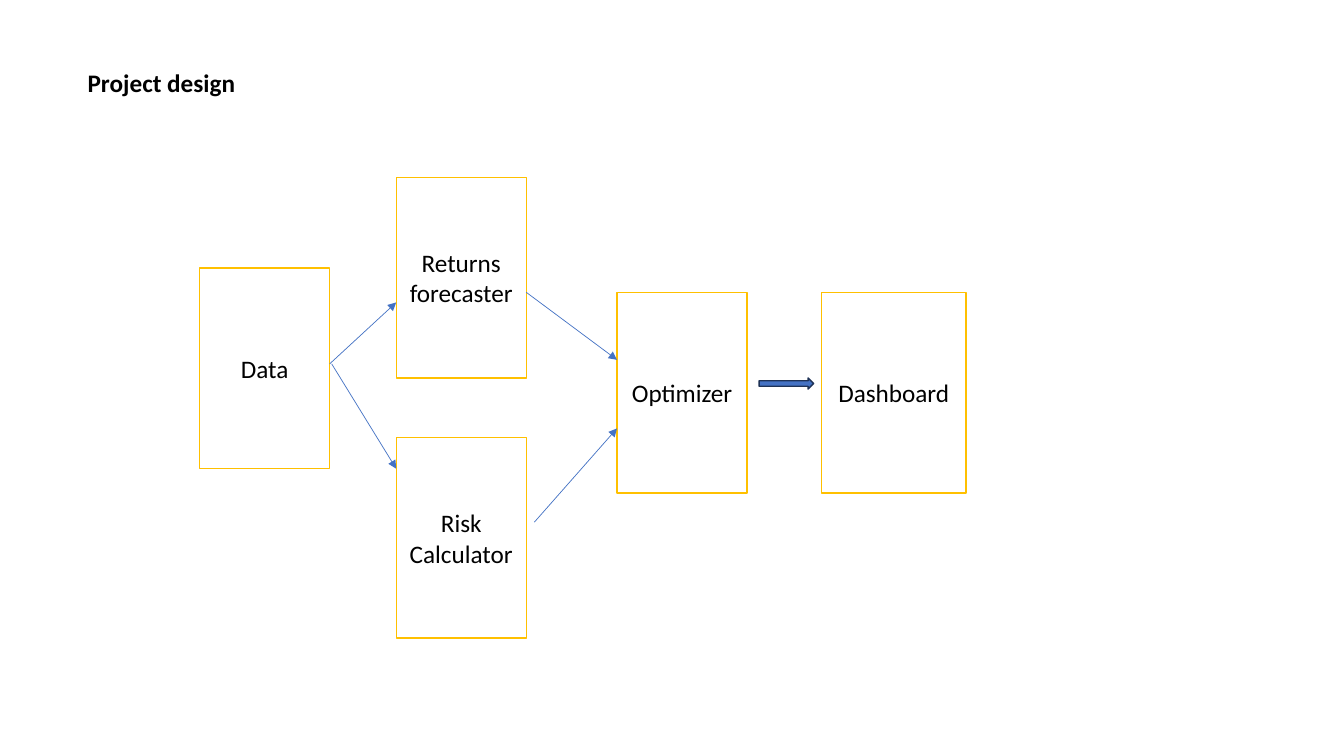
from lxml.etree import SubElement
from pptx import Presentation
from pptx.dml.color import RGBColor
from pptx.enum.shapes import MSO_CONNECTOR as CONN, MSO_SHAPE as SHAPE
from pptx.enum.text import MSO_ANCHOR as ANCHOR, PP_ALIGN as ALIGN
from pptx.oxml.ns import qn
from pptx.util import Inches, Pt


def rgb(hex_code):
    return RGBColor.from_string(hex_code)


def put_text(tf, text, size=18, font="Calibri", color="000000", bold=False,
             align=ALIGN.LEFT, anchor=ANCHOR.TOP):
    tf.word_wrap = True
    tf.vertical_anchor = anchor
    p = tf.paragraphs[0]
    p.alignment = align
    r = p.add_run()
    r.text = text
    r.font.size, r.font.name, r.font.bold = Pt(size), font, bold
    r.font.color.rgb = rgb(color)


class Diagram:
    WHITE, GOLD, BLUE, NAVY = "FFFFFF", "FFC000", "4472C4", "1E3256"

    def __init__(self, slide):
        self.shapes = slide.shapes

    def shape(self, kind, x, y, w, h, fill, line):
        sp = self.shapes.add_shape(kind, Inches(x), Inches(y), Inches(w), Inches(h))
        sp.shadow.inherit = False
        sp.fill.solid()
        sp.fill.fore_color.rgb = rgb(fill)
        sp.line.color.rgb = rgb(line)
        sp.line.width = Pt(1)
        return sp

    def box(self, text, x, y, w=1.29, h=1.99):
        sp = self.shape(SHAPE.RECTANGLE, x, y, w, h, self.WHITE, self.GOLD)
        put_text(sp.text_frame, text, align=ALIGN.CENTER, anchor=ANCHOR.MIDDLE)

    def block_arrow(self, x, y, w, h):
        self.shape(SHAPE.RIGHT_ARROW, x, y, w, h, self.BLUE, self.NAVY)

    def arrow(self, x1, y1, x2, y2):
        cxn = self.shapes.add_connector(CONN.STRAIGHT, Inches(x1), Inches(y1),
                                        Inches(x2), Inches(y2))
        cxn.line.color.rgb = rgb(self.BLUE)
        cxn.line.width = Pt(0.5)
        SubElement(cxn.line._get_or_add_ln(), qn("a:tailEnd"), type="triangle")
        SubElement(cxn._element.spPr, qn("a:effectLst"))

    def label(self, text, x, y, w, h, **fmt):
        sp = self.shapes.add_textbox(Inches(x), Inches(y), Inches(w), Inches(h))
        put_text(sp.text_frame, text, **fmt)


prs = Presentation()
prs.slide_width, prs.slide_height = Inches(13.33), Inches(7.5)
s = Diagram(prs.slides.add_slide(prs.slide_layouts[6]))

# Column edges and the shared top of the last two boxes
data_x, models_x, optimizer_x, dashboard_x = 1.98, 3.93, 6.12, 8.15
output_y = 2.9

# Pipeline stages
s.box("Data", data_x, 2.66)
s.box("Risk Calculator", models_x, 4.34)
s.box("Returns forecaster", models_x, 1.76)
s.box("Dashboard", dashboard_x, output_y, w=1.43)
s.box("Optimizer", optimizer_x, output_y)

# Flow between stages
s.block_arrow(7.53, 3.75, 0.54, 0.11)
s.arrow(5.22, 2.9, optimizer_x, 3.57)
s.arrow(3.27, 3.61, models_x, 3)
s.arrow(5.3, 5.18, optimizer_x, 4.25)
s.arrow(3.29, 3.61, models_x, 4.65)

# Title
s.label("Project design", 0.77, 0.62, 3.35, 0.4, bold=True)

prs.save("out.pptx")
